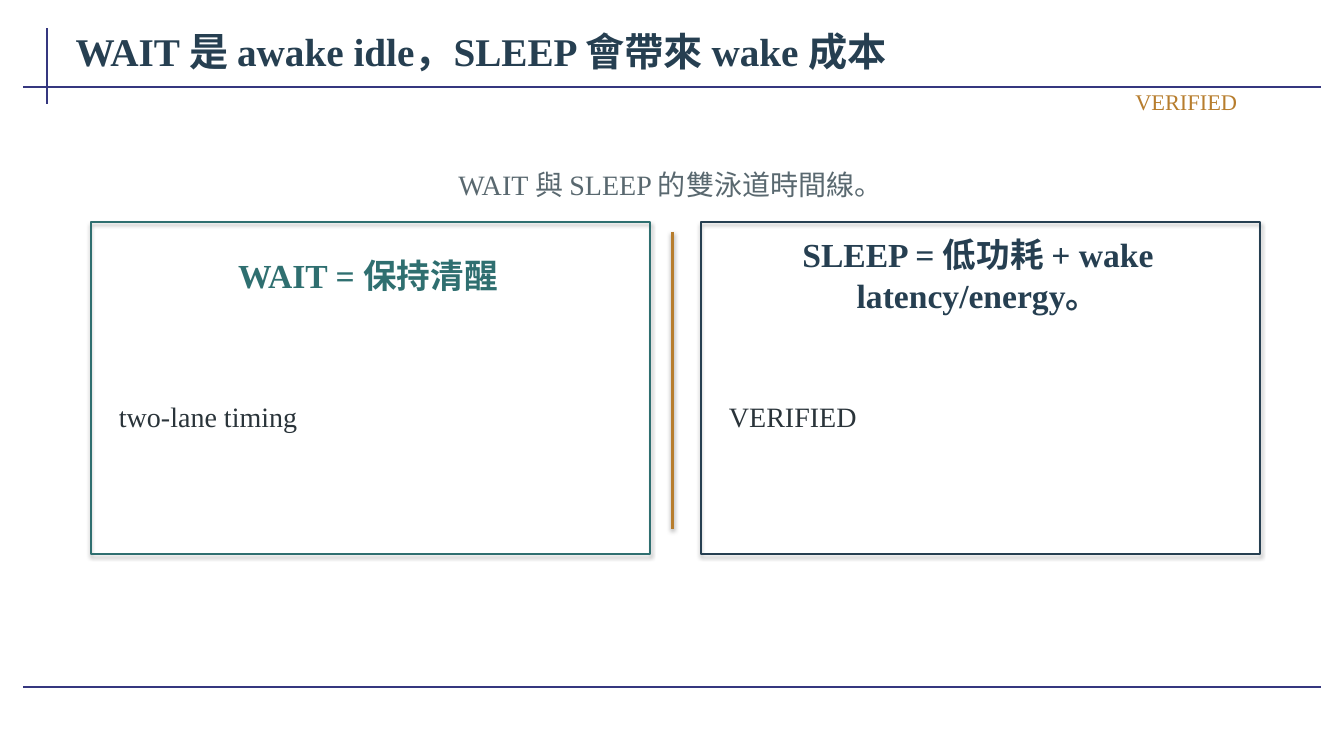
import pptx
import pptx.util
import pptx.dml.color
import pptx.enum.shapes
import pptx.enum.text
import pptx.oxml
import pptx.oxml.ns

Inches, Pt = pptx.util.Inches, pptx.util.Pt
ALIGN = pptx.enum.text.PP_ALIGN
FONT = "Times New Roman"
RULE, NAVY, TEAL, AMBER = "35377F", "263F51", "2F6F70", "B77D2D"
GREY, INK = "59686F", "2A343A"


def rgb(value):
    return pptx.dml.color.RGBColor.from_string(value)


def set_effects(s, distance=None, alpha=None):
    """Replace theme effects with a downward shadow, or with none."""
    shadow = ""
    if distance:
        shadow = (f'<a:outerShdw blurRad="{Pt(3.1)}" dist="{Pt(distance)}" dir="5400000" rotWithShape="0">'
                  f'<a:srgbClr val="000000"><a:alpha val="{alpha * 1000}"/></a:srgbClr></a:outerShdw>')
    ns = pptx.oxml.ns.nsdecls("a")
    s._element.spPr.append(pptx.oxml.parse_xml(f"<a:effectLst {ns}>{shadow}</a:effectLst>"))


def add_text(slide, text, x, y, w, h, size=20, color=INK, bold=False, align=ALIGN.LEFT, grow=True):
    s = slide.shapes.add_textbox(Inches(x), Inches(y), Inches(w), Inches(h))
    tf = s.text_frame
    tf.word_wrap = True
    if grow:
        tf.auto_size = pptx.enum.text.MSO_AUTO_SIZE.SHAPE_TO_FIT_TEXT
    tf.vertical_anchor = pptx.enum.text.MSO_ANCHOR.MIDDLE
    tf.margin_left = tf.margin_right = Inches(0.08)
    tf.margin_top = tf.margin_bottom = Inches(0.04)
    p = tf.paragraphs[0]
    p.alignment = align
    r = p.add_run()
    r.text = text
    r.font.name, r.font.size, r.font.bold = FONT, Pt(size), bold
    r.font.color.rgb = rgb(color)


def add_line(slide, x1, y1, x2, y2, color=RULE, width=1.5, **shadow):
    s = slide.shapes.add_connector(pptx.enum.shapes.MSO_CONNECTOR.STRAIGHT,
                                   Inches(x1), Inches(y1), Inches(x2), Inches(y2))
    s.line.color.rgb = rgb(color)
    s.line.width = Pt(width)
    set_effects(s, **shadow)


def add_frame(slide, left, right, top, bottom):
    """Rules at the head and foot, with a tick beside the title."""
    add_line(slide, left + 0.24, top - 0.58, left + 0.24, top + 0.17)
    for y in (top, bottom):
        add_line(slide, left, y, right, y)


def add_header(slide, x, y, w, title, status):
    add_text(slide, title, x, y, w, 0.63, size=28, color=NAVY, bold=True, grow=False)
    add_text(slide, status, x + w - 3.52, y + 0.67, 3.2, 0.3, size=16, color=AMBER, align=ALIGN.RIGHT)


def add_panel(slide, x, y, w, h, heading, body, color):
    s = slide.shapes.add_shape(pptx.enum.shapes.MSO_SHAPE.RECTANGLE,
                               Inches(x), Inches(y), Inches(w), Inches(h))
    s.fill.background()
    s.line.color.rgb = rgb(color)
    s.line.width = Pt(1.2)
    set_effects(s, distance=1.8, alpha=35)
    add_text(slide, heading, x + 0.15, y + 0.2, w - 0.35, 0.65,
             size=24, color=color, bold=True, align=ALIGN.CENTER)
    add_text(slide, body, x + 0.2, y + 0.95, w - 0.45, h - 1.35)


def add_comparison(slide, x, y, w, h, caption, panels):
    """Caption above two equal panels with a divider between them."""
    gap = 0.5
    panel_w = (w - gap) / 2
    add_text(slide, caption, x, y - 0.65, w - 0.1, 0.55, color=GREY, align=ALIGN.CENTER)
    for i, panel in enumerate(panels):
        add_panel(slide, x + i * (panel_w + gap), y, panel_w, h, *panel)
    middle = x + panel_w + 0.22
    add_line(slide, middle, y + 0.1, middle, y + h - 0.25, AMBER, 1.8, distance=1.6, alpha=38)


def main():
    prs = pptx.Presentation()
    prs.slide_width, prs.slide_height = Inches(13.33), Inches(7.5)
    slide = prs.slides.add_slide(prs.slide_layouts[6])
    slide.background.fill.solid()
    slide.background.fill.fore_color.rgb = rgb("FFFFFF")

    add_frame(slide, 0.23, 13.1, 0.86, 6.82)
    add_header(slide, 0.67, 0.19, 12, "WAIT 是 awake idle，SLEEP 會帶來 wake 成本", "VERIFIED")
    add_comparison(slide, 0.9, 2.2, 11.6, 3.3, "WAIT 與 SLEEP 的雙泳道時間線。", [
        ("WAIT = 保持清醒", "two-lane timing", TEAL),
        ("SLEEP = 低功耗 + wake latency/energy。", "VERIFIED", NAVY),
    ])
    prs.save("out.pptx")


if __name__ == "__main__":
    main()
